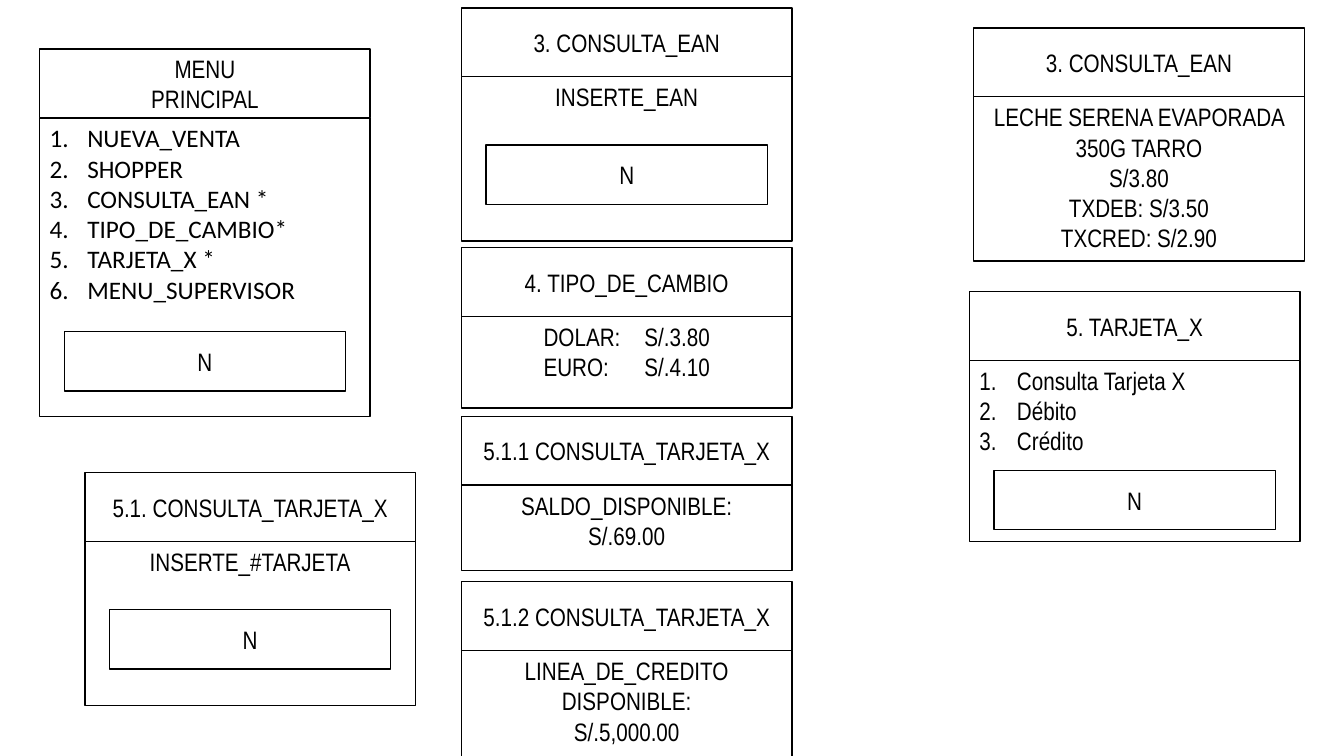
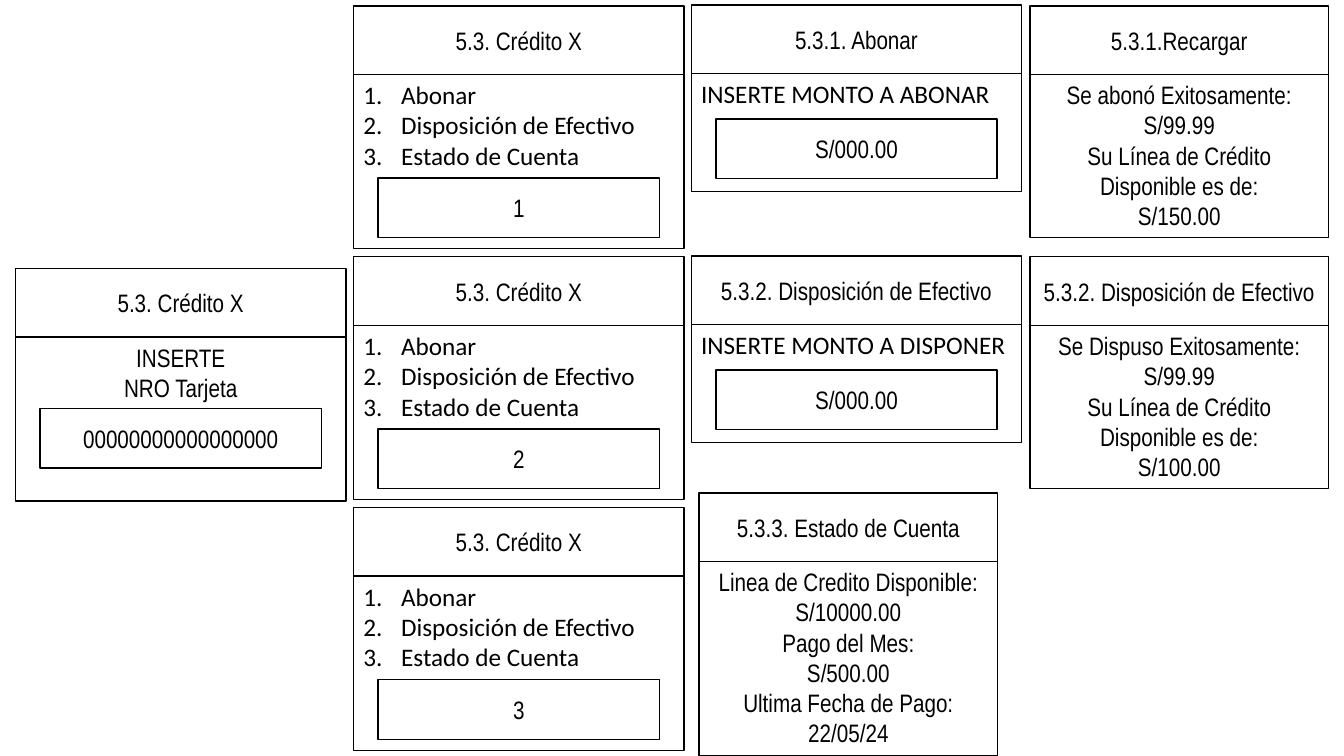
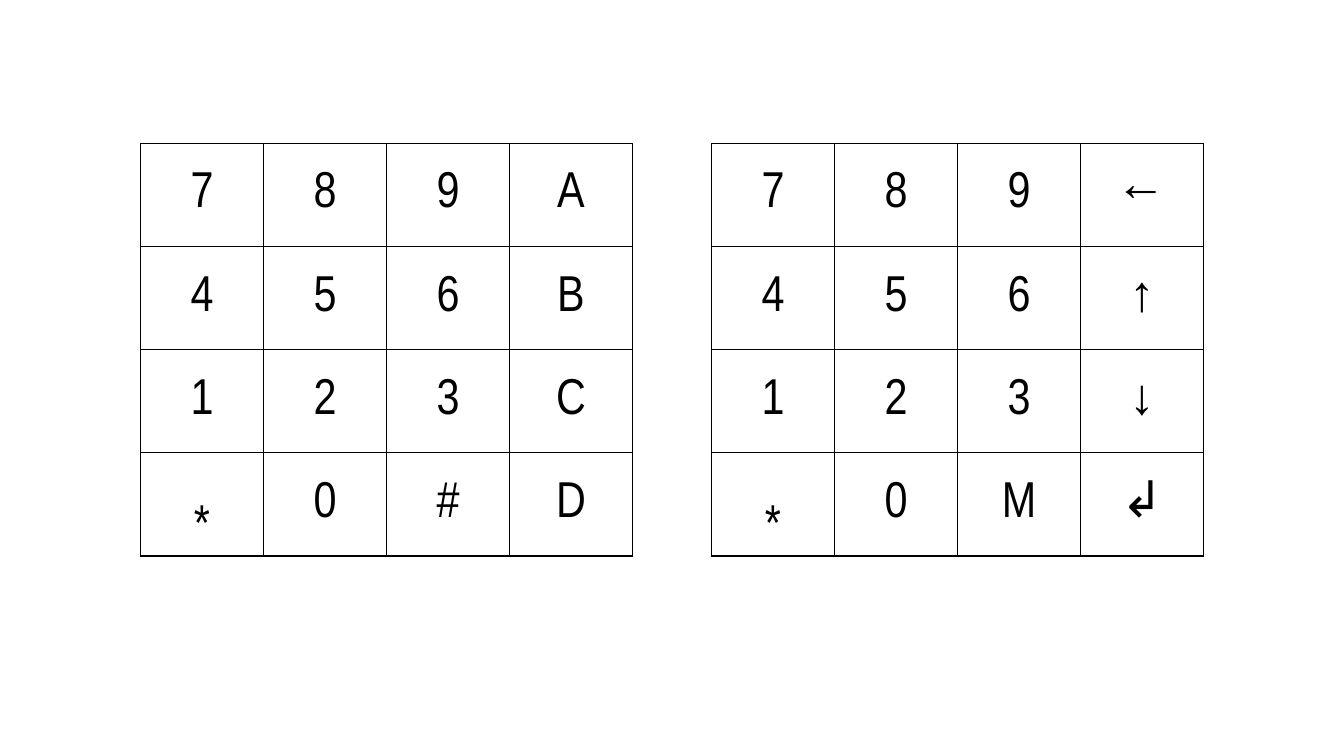
"""Build the point-of-sale screen cards and keypad layouts."""
from dataclasses import dataclass

from lxml.etree import SubElement
from pptx import Presentation
from pptx.dml.color import RGBColor
from pptx.enum.shapes import MSO_SHAPE
from pptx.enum.text import MSO_ANCHOR, PP_ALIGN
from pptx.oxml.ns import qn
from pptx.util import Cm, Pt


@dataclass(frozen=True)
class Theme:
    """Colours, fonts, type sizes and common lengths in cm."""
    ink: RGBColor = RGBColor(0, 0, 0)
    paper: RGBColor = RGBColor(255, 255, 255)
    narrow: str = "Arial Narrow"
    plain: str = "Calibri"
    size: int = 18
    keysize: int = 36
    line: int = 1
    wide: float = 8.33
    slim: float = 7.52
    head: float = 1.73
    fieldw: float = 7.09
    fieldh: float = 1.5
    indent: float = 0.95
    key: tuple = (3.1, 2.6)


THEME = Theme()


def write(frame, lines, font=THEME.narrow, size=THEME.size,
          align=PP_ALIGN.CENTER, numbered=False):
    """Fill a text frame with one paragraph per line."""
    for index, line in enumerate(lines):
        para = frame.add_paragraph() if index else frame.paragraphs[0]
        para.text = line
        para.alignment = align
        for run in para.runs:
            run.font.name = font
            run.font.size = Pt(size)
            run.font.color.rgb = THEME.ink
        if numbered:
            props = para._p.get_or_add_pPr()
            props.set("marL", str(Cm(THEME.indent)))
            props.set("indent", str(-Cm(THEME.indent)))
            SubElement(props, qn("a:buFont"), typeface="+mj-lt")
            SubElement(props, qn("a:buAutoNum"), type="arabicPeriod")


def panel(group, box, lines, anchor=MSO_ANCHOR.MIDDLE, **style):
    """Add an outlined rectangle with text."""
    shape = group.shapes.add_shape(MSO_SHAPE.RECTANGLE, *map(Cm, box))
    shape.shadow.inherit = False
    shape.fill.solid()
    shape.fill.fore_color.rgb = THEME.paper
    shape.line.color.rgb = THEME.ink
    shape.line.width = Pt(THEME.line)
    shape.text_frame.word_wrap = True
    shape.text_frame.vertical_anchor = anchor
    write(shape.text_frame, lines, **style)


def card(slide, box, title, lines, field=None, drop=3.45, **style):
    """Add a titled screen; drop is the field's distance from the top."""
    left, top, width, height = box
    group = slide.shapes.add_group_shape()
    panel(group, (left, top + THEME.head, width, height - THEME.head),
          lines, anchor=MSO_ANCHOR.TOP, **style)
    panel(group, (left, top, width, THEME.head), title.split("\n"))
    if field:
        inset = (width - THEME.fieldw) / 2
        panel(group, (left + inset, top + drop, THEME.fieldw, THEME.fieldh),
              [field])


def border(cell):
    """Draw a thin line on each side of a table cell."""
    props = cell._tc.get_or_add_tcPr()
    for index, side in enumerate(("lnL", "lnR", "lnT", "lnB")):
        line = props.makeelement(qn(f"a:{side}"), {"w": str(Pt(THEME.line))})
        fill = SubElement(line, qn("a:solidFill"))
        SubElement(fill, qn("a:srgbClr"), val=str(THEME.ink))
        props.insert(index, line)


def keypad(slide, left, top, rows):
    """Add a keypad table with one key per character."""
    wide, high = THEME.key
    count = len(rows[0])
    table = slide.shapes.add_table(
        len(rows), count, Cm(left), Cm(top),
        Cm(wide * count), Cm(high * len(rows))).table
    table.first_row = table.horz_banding = False
    for row, keys in enumerate(rows):
        for col, key in enumerate(keys):
            cell = table.cell(row, col)
            cell.fill.background()
            cell.vertical_anchor = (
                MSO_ANCHOR.BOTTOM if key == "*" else MSO_ANCHOR.MIDDLE)
            write(cell.text_frame, [key], size=THEME.keysize)
            border(cell)


def menus(slide):
    """Place the main menu and its query screens."""
    wide = THEME.wide
    mid = 11.63
    listed = {"numbered": True, "align": PP_ALIGN.LEFT}
    card(slide, (1, 1.24, wide, 9.25), "MENU\nPRINCIPAL",
         ["NUEVA_VENTA", "SHOPPER", "CONSULTA_EAN *", "TIPO_DE_CAMBIO*",
          "TARJETA_X *", "MENU_SUPERVISOR"],
         field="N", drop=7.11, font=THEME.plain, **listed)
    card(slide, (mid, 0.2, wide, 5.87), "3. CONSULTA_EAN",
         ["INSERTE_EAN"], field="N")
    card(slide, (24.54, 0.71, wide, 5.87), "3. CONSULTA_EAN",
         ["LECHE SERENA EVAPORADA 350G TARRO", "S/3.80",
          "TXDEB: S/3.50", "TXCRED: S/2.90"])
    card(slide, (2.14, 11.91, wide, 5.87), "5.1. CONSULTA_TARJETA_X",
         ["INSERTE_#TARJETA"], field="N")
    card(slide, (mid, 14.66, wide, 4.52), "5.1.2 CONSULTA_TARJETA_X",
         ["LINEA_DE_CREDITO", "DISPONIBLE:", "S/.5,000.00"])
    card(slide, (mid, 10.49, wide, 3.89), "5.1.1 CONSULTA_TARJETA_X",
         ["SALDO_DISPONIBLE:", "S/.69.00"])
    card(slide, (mid, 6.24, wide, 4.04), "4. TIPO_DE_CAMBIO",
         ["DOLAR:\tS/.3.80", "EURO:\tS/.4.10"])
    card(slide, (24.43, 7.35, wide, 6.3), "5. TARJETA_X",
         ["Consulta Tarjeta X", "Débito", "Crédito"],
         field="N", drop=4.5, **listed)


def credit(slide):
    """Place the credit screens, one row for each option."""
    wide, slim = THEME.wide, THEME.slim
    first, step = 0.15, 6.32
    name = "5.3. Crédito X"
    spend = "5.3.2. Disposición de Efectivo"
    left = {"font": THEME.plain, "align": PP_ALIGN.LEFT}
    card(slide, (0.39, 6.76, wide, 5.87), name,
         ["INSERTE", "NRO Tarjeta"], field="00000000000000000", drop=3.53)
    for row in range(3):
        card(slide, (8.91, first + row * step, wide, 6.12), name,
             ["Abonar", "Disposición de Efectivo", "Estado de Cuenta"],
             field=str(row + 1), drop=4.34, numbered=True, **left)
    flows = (
        ("5.3.1. Abonar", "ABONAR", "5.3.1.Recargar", "abonó", "150"),
        (spend, "DISPONER", spend, "Dispuso", "100"),
    )
    for row, (ask, verb, reply, done, rest) in enumerate(flows):
        top = first + row * step
        card(slide, (17.42, top - 0.02, wide, 4.7), ask,
             [f"INSERTE MONTO A {verb}"], field="S/000.00", drop=2.87, **left)
        card(slide, (25.96, top, slim, 5.84), reply,
             [f"Se {done} Exitosamente:\nS/99.99\n"
              "Su Línea de Crédito Disponible es de:", f"S/{rest}.00"])
    card(slide, (17.62, 12.42, slim, 6.63), "5.3.3. Estado de Cuenta",
         ["Linea de Credito Disponible:", "S/10000.00", "Pago del Mes:",
          "S/500.00", "Ultima Fecha de Pago:", "22/05/24"])


def keypads(slide):
    """Place the two keypad layouts side by side."""
    keypad(slide, 3.54, 3.61, ("789A", "456B", "123C", "*0#D"))
    keypad(slide, 17.93, 3.61, ("789←", "456↑", "123↓", "*0M↲"))


def main():
    """Build and save the deck."""
    deck = Presentation()
    deck.slide_width, deck.slide_height = Cm(33.87), Cm(19.05)
    for build in (menus, credit, keypads):
        build(deck.slides.add_slide(deck.slide_layouts[6]))
    deck.save("out.pptx")


if __name__ == "__main__":
    main()
